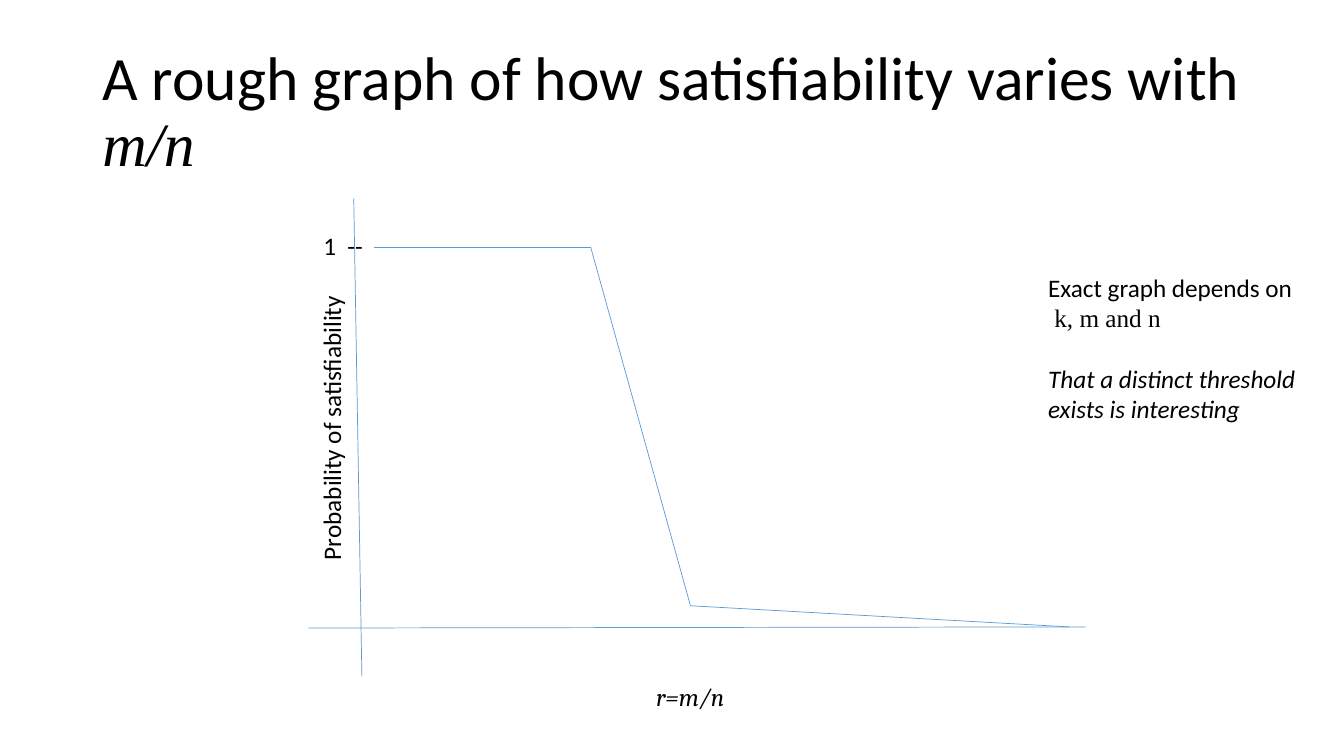
from dataclasses import dataclass

from lxml import etree
from pptx import Presentation
from pptx.dml.color import RGBColor
from pptx.enum import shapes, text
from pptx.oxml import ns
from pptx.util import Pt

BLACK = RGBColor(0x00, 0x00, 0x00)
WHITE = RGBColor(0xFF, 0xFF, 0xFF)
BLUE = RGBColor(0x5B, 0x9B, 0xD5)
SANS = "Calibri"
SERIF = "Times New Roman"
MATH = "Cambria"


@dataclass(frozen=True)
class Span:
    words: str
    font: str = SANS
    italic: bool = False
    break_before: bool = False


@dataclass(frozen=True)
class Para:
    spans: tuple[Span, ...]
    space_before: float = 0


@dataclass(frozen=True)
class Label:
    left: float
    top: float
    width: float
    height: float
    paras: tuple[Para, ...]
    rotation: float = 0


@dataclass(frozen=True)
class Segment:
    start: tuple[float, float]
    end: tuple[float, float]


TITLE = Para((
    Span("A rough graph of how satisfiability varies with "),
    Span("m/n", SERIF, italic=True),
))

AXES = (
    Segment((252.7, 141.8), (258.5, 483.1)),
    Segment((220.3, 448.6), (775.4, 447.8)),
)

CURVE_POINTS = ((267.1, 176.4), (421.9, 176.4), (493.2, 432.7), (763.9, 447.8))
CURVE = tuple(Segment(*ends) for ends in zip(CURVE_POINTS, CURVE_POINTS[1:]))

LABELS = (
    Label(461.5, 483.1, 64.1, 28.8, (Para((Span("r=m/n", MATH, italic=True),)),)),
    Label(133.9, 290.2, 205.2, 28.8,
          (Para((Span("Probability of satisfiability"),)),), rotation=270),
    Label(223.9, 161.3, 43.2, 28.8, (Para((Span("1  --"),)),)),
    Label(741.6, 190.8, 199.4, 116.6, (
        Para((Span("Exact graph depends on"),
              Span(" k, m and n", SERIF, break_before=True))),
        Para((Span("That a distinct threshold", italic=True),), space_before=22),
        Para((Span("exists is interesting", italic=True),)),
    )),
)


def write_para(para, content: Para, size: float) -> None:
    para.alignment = text.PP_ALIGN.LEFT
    para.space_before = Pt(content.space_before)
    for span in content.spans:
        if span.break_before:
            para.add_line_break()
        run = para.add_run()
        run.text = span.words
        run.font.name = span.font
        run.font.size = Pt(size)
        run.font.italic = span.italic
        run.font.color.rgb = BLACK


def place_title(page) -> None:
    title = page.shapes.title
    title.left, title.top = Pt(66), Pt(28.8)
    title.width, title.height = Pt(828), Pt(104.4)
    frame = title.text_frame
    frame.word_wrap = True
    frame.auto_size = text.MSO_AUTO_SIZE.NONE
    frame.vertical_anchor = text.MSO_ANCHOR.MIDDLE
    para = frame.paragraphs[0]
    para.line_spacing = 0.9
    write_para(para, TITLE, 44)


def draw_segment(page, segment: Segment) -> None:
    line = page.shapes.add_connector(
        shapes.MSO_CONNECTOR.STRAIGHT,
        *(Pt(value) for value in segment.start + segment.end))
    line.line.color.rgb = BLUE
    line.line.width = Pt(0.5)
    etree.SubElement(line._element.spPr, ns.qn("a:effectLst"))


def draw_label(page, label: Label) -> None:
    box = page.shapes.add_textbox(
        Pt(label.left), Pt(label.top), Pt(label.width), Pt(label.height))
    box.rotation = label.rotation
    frame = box.text_frame
    frame.word_wrap = False
    frame.auto_size = text.MSO_AUTO_SIZE.SHAPE_TO_FIT_TEXT
    for index, content in enumerate(label.paras):
        para = frame.add_paragraph() if index else frame.paragraphs[0]
        write_para(para, content, 18)


def main() -> None:
    deck = Presentation()
    deck.slide_width, deck.slide_height = Pt(960), Pt(540)
    page = deck.slides.add_slide(deck.slide_layouts.get_by_name("Title Only"))
    page.background.fill.solid()
    page.background.fill.fore_color.rgb = WHITE
    place_title(page)
    for segment in AXES + CURVE:
        draw_segment(page, segment)
    for label in LABELS:
        draw_label(page, label)
    deck.save("out.pptx")


if __name__ == "__main__":
    main()
